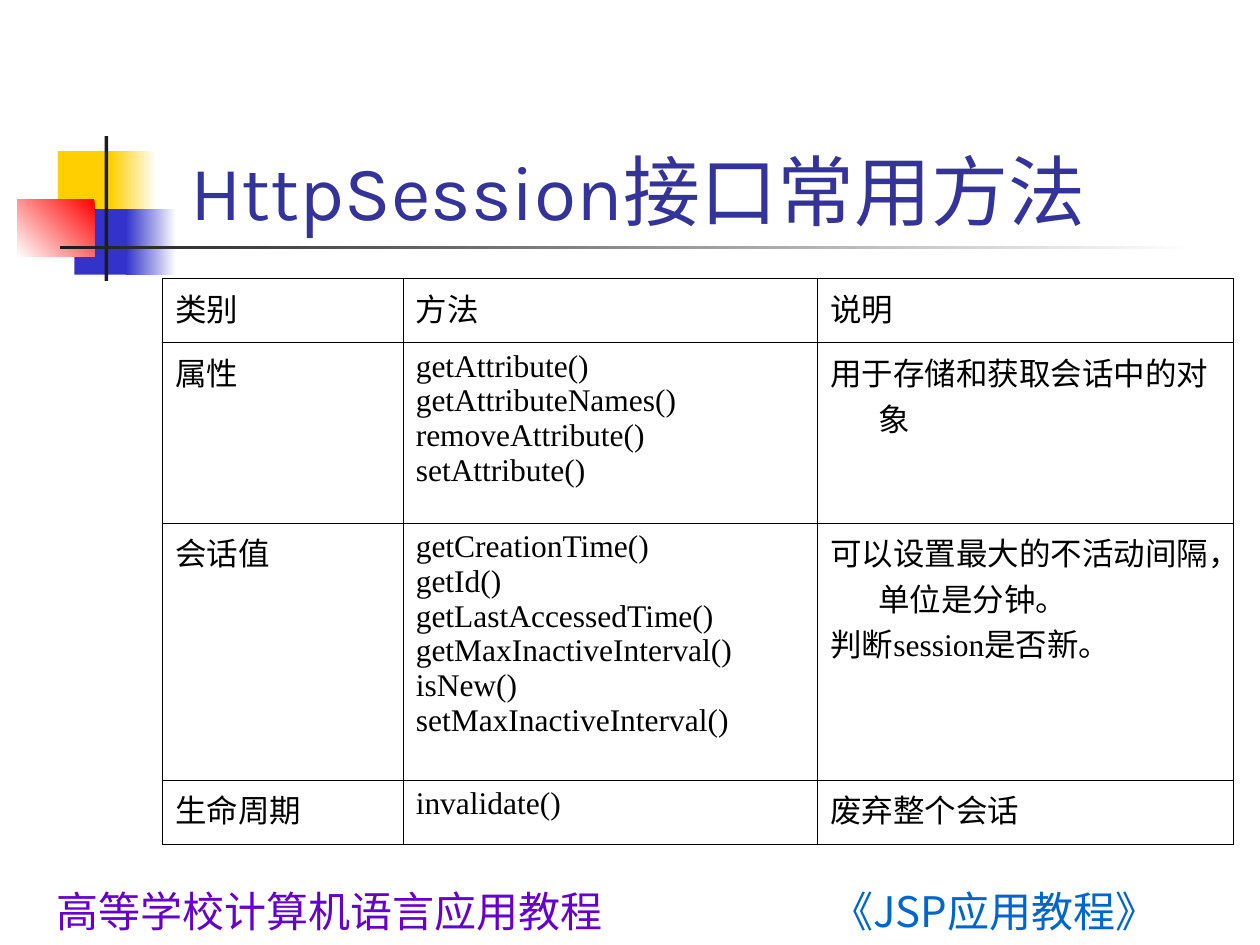
from lxml.etree import SubElement
from pptx import Presentation
from pptx.dml.color import RGBColor
from pptx.enum.shapes import MSO_SHAPE
from pptx.enum.text import MSO_ANCHOR, MSO_AUTO_SIZE, PP_ALIGN
from pptx.oxml.ns import qn
from pptx.util import Inches, Pt

HUES = {
    "white": "FFFFFF", "gold": "FFCF01", "blue": "3333CC", "red": "FF0000",
    "dark": "1C1C1C", "black": "000000", "title": "333399",
    "book": "0066CC", "series": "6600CC",
}
HAN = "Noto Sans CJK SC"
FORMS = {
    "title": {"name": "Karla", "size": Pt(44), "bold": False},
    "foot": {"name": HAN, "size": Pt(24), "bold": False},
    "cell": {"name": "Times New Roman", "size": Pt(18), "bold": False},
}
PLAIN = {"first_row": False, "horz_banding": False}
COLS = [1.91, 3.29, 3.3]
ROWS = [0.51, 1.43, 2.04, 0.51]
CELLS = [
    ["类别", "方法", "说明"],
    ["属性",
     "getAttribute()\ngetAttributeNames()\nremoveAttribute()\nsetAttribute()",
     "用于存储和获取会话中的对象"],
    ["会话值",
     "getCreationTime()\ngetId()\ngetLastAccessedTime()\n"
     "getMaxInactiveInterval()\nisNew()\nsetMaxInactiveInterval()",
     "可以设置最大的不活动间隔，单位是分钟。\n判断session是否新。"],
    ["生命周期", "invalidate()", "废弃整个会话"],
]


def tint(name):
    return RGBColor.from_string(HUES[name])


def apply(item, form):
    for key, value in form.items():
        setattr(item, key, value)


def style(para, form, hue):
    for run in para.runs:
        apply(run.font, FORMS[form])
        run.font.color.rgb = tint(hue)
        SubElement(run.font._element, qn("a:ea"), typeface=HAN)


def block(slide, box, hue, fade=None, angle=180):
    shape = slide.shapes.add_shape(MSO_SHAPE.RECTANGLE, *map(Inches, box))
    shape.shadow.inherit = False
    shape.line.fill.background()
    if fade:
        shape.fill.gradient()
        shape.fill.gradient_angle = angle
        for stop, name in zip(shape.fill.gradient_stops, (hue, fade)):
            stop.color.rgb = tint(name)
    else:
        shape.fill.solid()
        shape.fill.fore_color.rgb = tint(hue)


def motif(slide, x, y):
    block(slide, (x + 0.32, y + 0.12, 0.48, 0.52), "gold")
    block(slide, (x + 0.74, y + 0.12, 0.36, 0.52), "white", "gold")
    block(slide, (x + 0.45, y + 0.58, 0.46, 0.52), "blue")
    block(slide, (x + 0.86, y + 0.58, 0.4, 0.52), "white", "blue")
    block(slide, (x, y + 0.5, 0.61, 0.46), "red", "white", 225)
    block(slide, (x + 0.69, y, 0.03, 1.15), "dark")
    block(slide, (x + 0.34, y + 0.87, 9, 0.03), "white", "dark")


def head(slide, box, text):
    title = slide.shapes.title
    apply(title, dict(zip(("left", "top", "width", "height"), map(Inches, box))))
    frame = title.text_frame
    frame.text = text
    apply(frame, {"vertical_anchor": MSO_ANCHOR.BOTTOM, "word_wrap": True,
                  "auto_size": MSO_AUTO_SIZE.NONE, "margin_left": Inches(0.25)})
    frame.paragraphs[0].alignment = PP_ALIGN.LEFT
    style(frame.paragraphs[0], "title", "title")


def foot(slide, box, text, hue):
    frame = slide.shapes.add_textbox(*map(Inches, box)).text_frame
    frame.text = text
    frame.word_wrap = False
    style(frame.paragraphs[0], "foot", hue)


def edge(cell):
    props = cell._tc.get_or_add_tcPr()
    for side in "LRTB":
        line = SubElement(props, qn(f"a:ln{side}"), w=str(Pt(0.45)))
        fill = SubElement(line, qn("a:solidFill"))
        SubElement(fill, qn("a:srgbClr"), val=HUES["black"])
    cell.fill.background()


def grid(slide, box):
    table = slide.shapes.add_table(len(ROWS), len(COLS), *map(Inches, box)).table
    apply(table, PLAIN)
    for col, width in zip(table.columns, COLS):
        col.width = Inches(width)
    for row, height, texts in zip(table.rows, ROWS, CELLS):
        row.height = Inches(height)
        for cell, text in zip(row.cells, texts):
            cell.text = text
            edge(cell)
            for para in cell.text_frame.paragraphs:
                props = para._p.get_or_add_pPr()
                props.set("marL", str(Inches(0.38)))
                props.set("indent", str(-Inches(0.38)))
                style(para, "cell", "black")


def main():
    deck = Presentation()
    apply(deck, {"slide_width": Inches(10), "slide_height": Inches(7.5)})
    slide = deck.slides.add_slide(deck.slide_layouts[5])
    motif(slide, 0.14, 1.08)
    foot(slide, (6.5, 6.98, 3.5, 0.28), "《JSP应用教程》", "book")
    foot(slide, (0.35, 6.98, 5.04, 0.52), "高等学校计算机语言应用教程", "series")
    head(slide, (1.26, 0.67, 8.52, 1.25), "HttpSession接口常用方法")
    grid(slide, (1.29, 2.21, sum(COLS), sum(ROWS)))
    deck.save("out.pptx")


if __name__ == "__main__":
    main()
